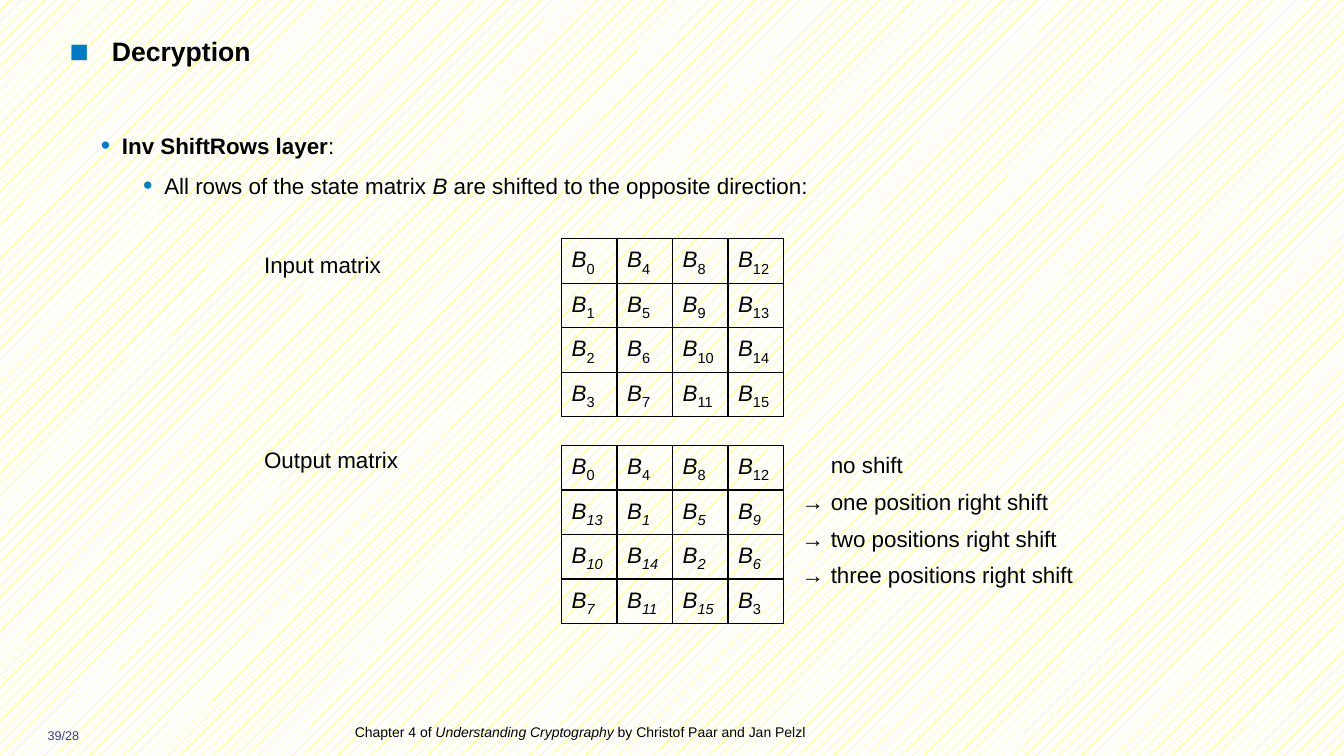
from lxml import etree
from pptx import Presentation
from pptx.dml.color import RGBColor
from pptx.enum.dml import MSO_PATTERN
from pptx.enum.text import MSO_ANCHOR, PP_ALIGN
from pptx.oxml.ns import qn
from pptx.util import Inches, Pt

# Content: a run is (text, style), style holding b for bold and i for italic
COLORS = {"text": "000000", "bullet": "007AC2", "page": "394073",
          "stripe": "FFFF00", "paper": "FFFFFF"}
FONT = "Arial"

TITLE = [("Decryption", "b")]
BODY = [
    (0.21, [("Inv ShiftRows layer", "b"), (":", "")]),
    (0.63, [("All rows of the state matrix ", ""), ("B", "i"),
            (" are shifted to the opposite direction:", "")]),
]
LABELS = [("Input matrix", 2.49), ("Output matrix", 4.43)]
FOOTER = [("Chapter 4 of ", ""), ("Understanding Cryptography", "i"),
          (" by Christof Paar and Jan Pelzl", "")]
PAGE = [("39/28", "")]
SHIFTS = ["no shift", "→\tone position right shift",
          "→\ttwo positions right shift", "→\tthree positions right shift"]

SIZE = 4
INPUT = [[row + SIZE * column for column in range(SIZE)] for row in range(SIZE)]
OUTPUT = [[values[(column - row) % SIZE] for column in range(SIZE)]
          for row, values in enumerate(INPUT)]
INPUT_UPRIGHT = set(range(SIZE * SIZE))
OUTPUT_UPRIGHT = {0, 4, 8, 12, 3}

TABLE_LEFT, COLUMN_WIDTH, ROW_HEIGHT = 5.57, 0.55, 0.37
TABLES = [(2.37, INPUT, INPUT_UPRIGHT), (4.42, OUTPUT, OUTPUT_UPRIGHT)]


def add_run(paragraph, text, size, style="", color="text"):
    run = paragraph.add_run()
    run.text = text
    font = run.font
    font.name, font.size = FONT, Pt(size)
    font.bold, font.italic = "b" in style, "i" in style
    font.color.rgb = RGBColor.from_string(COLORS[color])
    return run


def add_text(slide, box, paragraphs, size, color="text"):
    frame = slide.shapes.add_textbox(*map(Inches, box)).text_frame
    frame.word_wrap = True
    frame.margin_left = frame.margin_right = 0
    frame.margin_top = frame.margin_bottom = 0
    for index, runs in enumerate(paragraphs):
        paragraph = frame.add_paragraph() if index else frame.paragraphs[0]
        for text, style in runs:
            add_run(paragraph, text, size, style, color)
    return frame.paragraphs


def set_indent(paragraph, left, first):
    properties = paragraph._p.get_or_add_pPr()
    properties.set("marL", str(Inches(left)))
    properties.set("indent", str(Inches(first)))
    return properties


def set_bullet(paragraph, symbol, left, hanging):
    properties = set_indent(paragraph, left, -hanging)
    color = etree.SubElement(properties, qn("a:buClr"))
    etree.SubElement(color, qn("a:srgbClr"), val=COLORS["bullet"])
    etree.SubElement(properties, qn("a:buSzPct"), val="120000")
    etree.SubElement(properties, qn("a:buFont"), typeface=FONT)
    etree.SubElement(properties, qn("a:buChar"), char=symbol)


def set_borders(cell):
    properties = cell._tc.get_or_add_tcPr()
    for index, side in enumerate(("lnL", "lnR", "lnT", "lnB")):
        line = etree.Element(qn("a:" + side), w=str(Pt(1)))
        fill = etree.SubElement(line, qn("a:solidFill"))
        etree.SubElement(fill, qn("a:srgbClr"), val=COLORS["text"])
        properties.insert(index, line)


def add_matrix(slide, top, matrix, upright):
    table = slide.shapes.add_table(
        SIZE, SIZE, Inches(TABLE_LEFT), Inches(top),
        Inches(SIZE * COLUMN_WIDTH), Inches(SIZE * ROW_HEIGHT)).table
    table.first_row = table.horz_banding = False
    for column in table.columns:
        column.width = Inches(COLUMN_WIDTH)
    for row, values in enumerate(matrix):
        table.rows[row].height = Inches(ROW_HEIGHT)
        for column, number in enumerate(values):
            cell = table.cell(row, column)
            cell.fill.background()
            cell.vertical_anchor = MSO_ANCHOR.MIDDLE
            set_borders(cell)
            paragraph = cell.text_frame.paragraphs[0]
            add_run(paragraph, "B", 16, "i")
            index = add_run(paragraph, str(number), 18,
                            "" if number in upright else "i")
            index.font._element.set("baseline", "-25000")


def main():
    presentation = Presentation()
    presentation.slide_width = Inches(13.33)
    presentation.slide_height = Inches(7.5)
    slide = presentation.slides.add_slide(presentation.slide_layouts[6])

    # Background pattern
    background = slide.background.fill
    background.patterned()
    background.pattern = MSO_PATTERN.PERCENT_10
    background.fore_color.rgb = RGBColor.from_string(COLORS["stripe"])
    background.back_color.rgb = RGBColor.from_string(COLORS["paper"])

    # Title and bulleted text
    title = add_text(slide, (0.69, 0.35, 11.65, 0.56), [TITLE], 19)[0]
    set_bullet(title, "■", 0.42, 0.42)
    body = add_text(slide, (1, 1.24, 11.34, 0.8), [runs for _, runs in BODY], 16)
    for paragraph, (left, _) in zip(body, BODY):
        paragraph.line_spacing = 1.25
        paragraph.space_before = Pt(4.8)
        set_bullet(paragraph, "•", left, 0.21)

    # Matrices with their labels
    for label, top in LABELS:
        add_text(slide, (2.62, top, 2.5, 0.26), [[(label, "")]], 16)
    for top, matrix, upright in TABLES:
        add_matrix(slide, top, matrix, upright)

    # Shift notes beside the output matrix
    notes = add_text(slide, (7.95, 4.48, 3.2, 1.4),
                     [[(note, "")] for note in SHIFTS], 16)
    for index, paragraph in enumerate(notes):
        set_indent(paragraph, 0.29, -0.29 if index else 0)
        paragraph.space_before = Pt(7 if index else 0)

    # Footer and page number
    add_text(slide, (3.52, 7.14, 6.3, 0.28), [FOOTER], 10)[0].line_spacing = 1.2
    page = add_text(slide, (0.26, 7.22, 0.74, 0.24), [PAGE], 9, "page")[0]
    page.alignment = PP_ALIGN.CENTER

    presentation.save("out.pptx")


if __name__ == "__main__":
    main()
